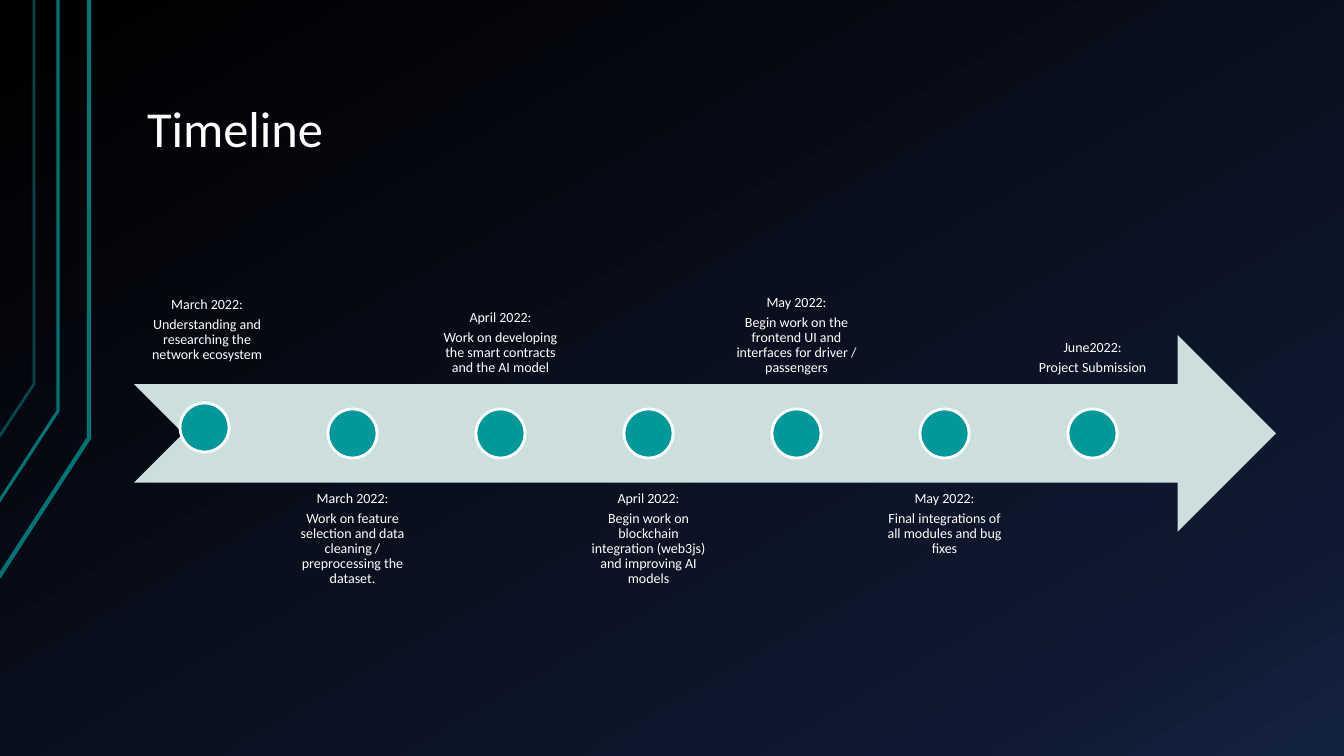
from copy import deepcopy
from dataclasses import dataclass

from lxml import etree
from pptx import Presentation
from pptx import util as u
from pptx.dml.color import RGBColor
from pptx.enum import shapes, text
from pptx.oxml import ns

PIXEL = 914400 / 100.8
FONT = "Calibri"
WHITE = RGBColor(0xFF, 0xFF, 0xFF)
TEAL = RGBColor(0x00, 0x99, 0x99)
DARK_TEAL = RGBColor(0x00, 0x73, 0x73)
PALE_TEAL = RGBColor(0xCC, 0xDE, 0xDE)
BACKGROUND_STOPS = [
    (0, RGBColor(0x00, 0x00, 0x00)),
    (0.85, RGBColor(0x0F, 0x19, 0x31)),
    (1, RGBColor(0x14, 0x22, 0x42)),
]


@dataclass(frozen=True)
class Box:
    left: int
    top: int
    width: int
    height: int

    def emu(self) -> list[int]:
        return [px(v) for v in (self.left, self.top, self.width, self.height)]


@dataclass(frozen=True)
class CircuitLine:
    points: tuple[tuple[int, int], ...]
    weight: float
    opacity: int = 100


@dataclass(frozen=True)
class Milestone:
    month: str
    task: str


CIRCUIT_LINES = [
    CircuitLine(((-1, 577), (89, 438), (89, 0)), 3),
    CircuitLine(((-2, 503), (58, 411), (58, 0)), 2.25),
    CircuitLine(((-1, 437), (34, 384), (34, 0)), 2, 60),
]
MILESTONES = [
    Milestone("March 2022:", "Understanding and researching the network ecosystem"),
    Milestone("March 2022:", "Work on feature selection and data cleaning / "
              "preprocessing the dataset."),
    Milestone("April 2022:", "Work on developing the smart contracts and the AI model"),
    Milestone("April 2022:", "Begin work on blockchain integration (web3js) and "
              "improving AI models"),
    Milestone("May 2022:", "Begin work on the frontend UI and interfaces for "
              "driver / passengers"),
    Milestone("May 2022:", "Final integrations of all modules and bug fixes"),
    Milestone("June2022:", "Project Submission"),
]

ARROW = Box(134, 335, 1142, 197)
DOT_SIZE, DOT_TOP = 49, 409
FIRST_DOT_LEFT, DOT_STEP = 180, 148
LABEL_WIDTH, LABEL_HEIGHT = 141, 197
LABEL_TOP_ABOVE, LABEL_TOP_BELOW = 187, 483
FIRST_LABEL, FIRST_DOT_TOP = Box(140, 269, 134, 102), 403


def px(value: float) -> int:
    return round(value * PIXEL)


def paint_background(slide) -> None:
    fill = slide.background.fill
    fill.gradient()
    fill.gradient_angle = 300
    stop_list = slide.element.find(".//" + ns.qn("a:gsLst"))
    stop_list.append(deepcopy(stop_list[-1]))
    for stop, (position, color) in zip(fill.gradient_stops, BACKGROUND_STOPS):
        stop.position = position
        stop.color.rgb = color


def set_insets(frame, horizontal: int, vertical: int) -> None:
    frame.margin_left = frame.margin_right = px(horizontal)
    frame.margin_top = frame.margin_bottom = px(vertical)


def style_paragraph(paragraph, size: float, alignment) -> None:
    paragraph.alignment = alignment
    paragraph.line_spacing = 0.9
    paragraph.font.name = FONT
    paragraph.font.size = u.Pt(size)
    paragraph.font.color.rgb = WHITE


def add_circuit_line(slide, circuit: CircuitLine) -> None:
    start, *rest = circuit.points
    builder = slide.shapes.build_freeform(*start, scale=PIXEL)
    builder.add_line_segments(rest, close=False)
    shape = builder.convert_to_shape()
    shape.shadow.inherit = False
    shape.fill.background()
    shape.line.color.rgb = DARK_TEAL
    shape.line.width = u.Pt(circuit.weight)
    if circuit.opacity < 100:
        color = shape.element.spPr.find(".//" + ns.qn("a:srgbClr"))
        alpha = etree.SubElement(color, ns.qn("a:alpha"))
        alpha.set("val", str(circuit.opacity * 1000))


def add_filled(slide, kind, box: Box, color: RGBColor):
    shape = slide.shapes.add_shape(kind, *box.emu())
    shape.shadow.inherit = False
    shape.fill.solid()
    shape.fill.fore_color.rgb = color
    shape.line.fill.background()
    return shape


def add_dot(slide, left: int, top: int) -> None:
    box = Box(left, top, DOT_SIZE, DOT_SIZE)
    dot = add_filled(slide, shapes.MSO_SHAPE.OVAL, box, TEAL)
    dot.line.color.rgb = WHITE
    dot.line.width = u.Pt(2)


def add_label(slide, milestone: Milestone, box: Box, above: bool) -> None:
    frame = slide.shapes.add_textbox(*box.emu()).text_frame
    frame.word_wrap = True
    anchors = text.MSO_ANCHOR
    frame.vertical_anchor = anchors.BOTTOM if above else anchors.TOP
    set_insets(frame, 8, 8)
    frame.text = f"{milestone.month}\n{milestone.task}"
    for paragraph in frame.paragraphs:
        style_paragraph(paragraph, 10, text.PP_ALIGN.CENTER)
        paragraph.space_after = u.Pt(3.5)


def add_title(slide) -> None:
    title = slide.shapes.title
    title.left, title.top, title.width, title.height = Box(134, 30, 1142, 135).emu()
    frame = title.text_frame
    frame.text = "Timeline"
    frame.auto_size = text.MSO_AUTO_SIZE.NONE
    frame.vertical_anchor = text.MSO_ANCHOR.BOTTOM
    set_insets(frame, 13, 7)
    style_paragraph(frame.paragraphs[0], 36, text.PP_ALIGN.LEFT)


def add_timeline(slide) -> None:
    add_filled(slide, shapes.MSO_SHAPE.NOTCHED_RIGHT_ARROW, ARROW, PALE_TEAL)
    for index, milestone in enumerate(MILESTONES):
        # Labels alternate above and below the arrow, centred on their dots
        above = index % 2 == 0
        dot_left = FIRST_DOT_LEFT + index * DOT_STEP
        label = Box(dot_left + (DOT_SIZE - LABEL_WIDTH) // 2,
                    LABEL_TOP_ABOVE if above else LABEL_TOP_BELOW,
                    LABEL_WIDTH, LABEL_HEIGHT)
        dot_top = DOT_TOP
        if index == 0:
            label, dot_top = FIRST_LABEL, FIRST_DOT_TOP
        add_label(slide, milestone, label, above)
        add_dot(slide, dot_left, dot_top)


# Slide and background
presentation = Presentation()
presentation.slide_width, presentation.slide_height = px(1344), px(756)
slide = presentation.slides.add_slide(presentation.slide_layouts[5])
paint_background(slide)

# Decoration at the left edge
for circuit in CIRCUIT_LINES:
    add_circuit_line(slide, circuit)

# Title and timeline
add_title(slide)
add_timeline(slide)

presentation.save("out.pptx")
